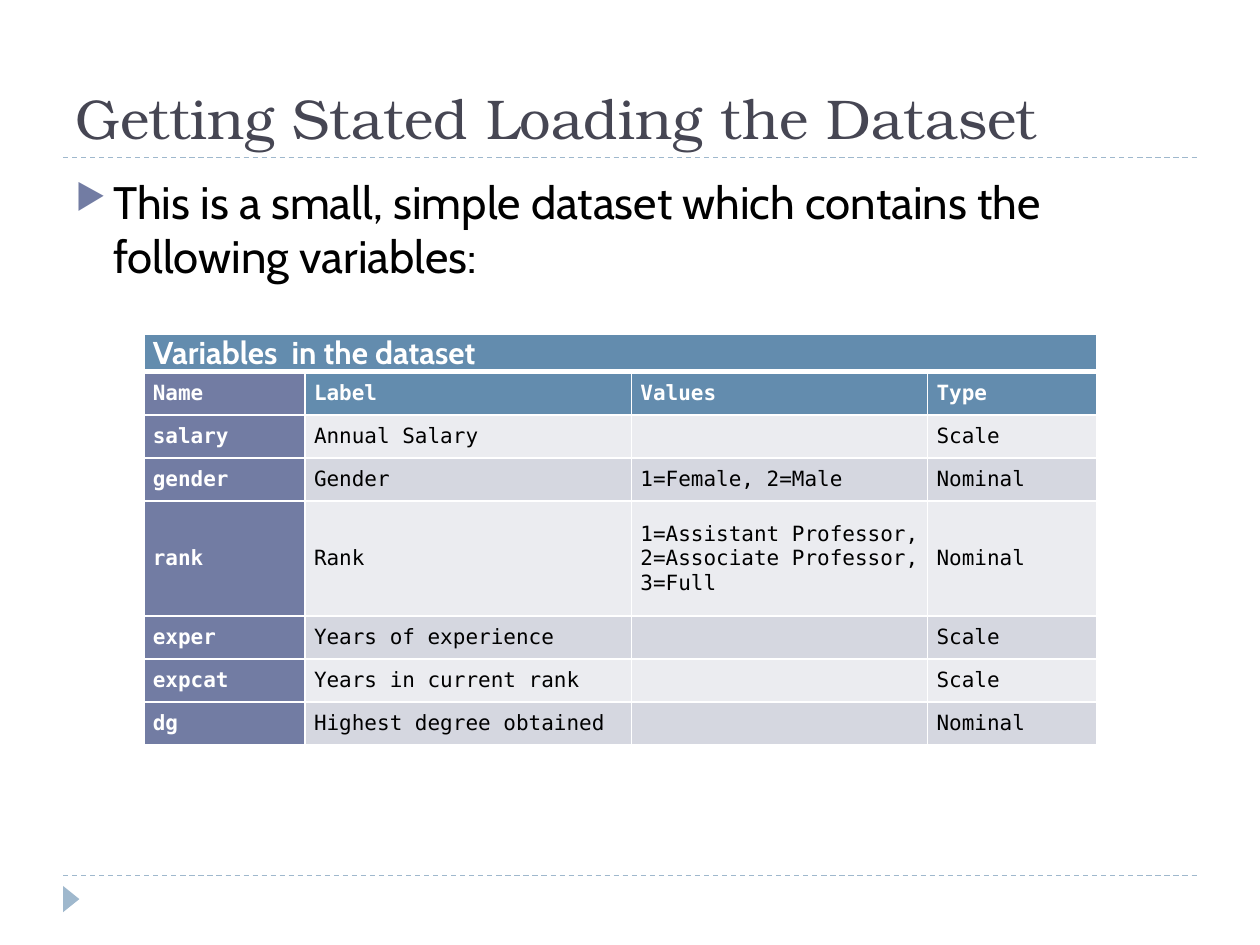
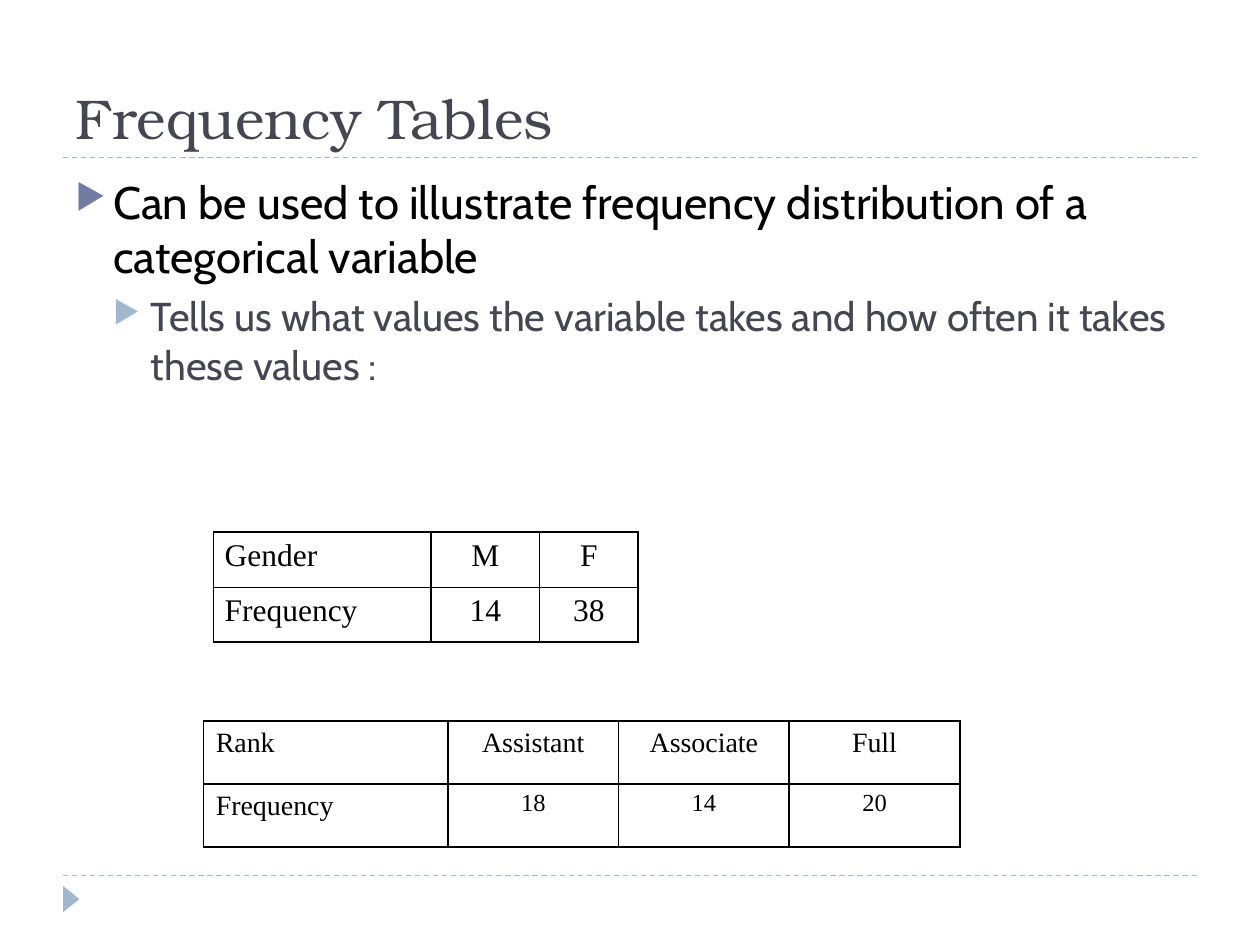
"""Build two slides on a salary dataset and its frequency tables."""
from lxml.etree import SubElement as Sub
from pptx import Presentation
from pptx.dml.color import RGBColor as Rgb
from pptx.enum.dml import MSO_LINE as Dash
from pptx.enum.shapes import MSO_CONNECTOR as Link, MSO_SHAPE as Shape
from pptx.enum.text import MSO_ANCHOR as Anchor, MSO_AUTO_SIZE as Fit, PP_ALIGN as Align
from pptx.oxml.ns import qn
from pptx.oxml.xmlchemy import OxmlElement as Node
from pptx.util import Cm, Pt

WHITE = Rgb(0xFF, 0xFF, 0xFF)
BLACK = Rgb(0, 0, 0)
SLATE = Rgb(0x46, 0x46, 0x53)
VIOLET = Rgb(0x72, 0x7C, 0xA3)
STEEL = Rgb(0x63, 0x8C, 0xAE)
MIST = Rgb(0x9F, 0xB8, 0xCD)
BANDS = (Rgb(0xEB, 0xEC, 0xF0), Rgb(0xD5, 0xD7, 0xE0))
SERIF, SANS = "TeX Gyre Bonum", "Cabin"
MONO, TIMES = "DejaVu Sans Mono", "Times New Roman"
LEFT, WIDTH = Cm(1.27), Cm(22.86)
RULES = (Cm(3.18), Cm(17.65))
LEVELS = ((26, BLACK, VIOLET, 0), (23, SLATE, MIST, 5))

FIELDS = (
    ("Variables  in the dataset", "", "", ""),
    ("Name", "Label", "Values", "Type"),
    ("salary", "Annual Salary", "", "Scale"),
    ("gender", "Gender", "1=Female, 2=Male", "Nominal"),
    ("rank", "Rank", "1=Assistant Professor, 2=Associate Professor, 3=Full", "Nominal"),
    ("exper", "Years of experience", "", "Scale"),
    ("expcat", "Years in current rank", "", "Scale"),
    ("dg", "Highest degree obtained", "", "Nominal"),
)
GENDER = (("Gender", "M", "F"), ("Frequency", "14", "38"))
RANK = (("Rank", "Assistant", "Associate", "Full"), ("Frequency", "18", "14", "20"))


class Deck:
    """Hold the style and the current slide."""

    def __init__(self):
        self.prs = Presentation()
        self.prs.slide_width, self.prs.slide_height = Cm(25.4), Cm(19.05)
        self.slide = None

    def font(self, par, size, face, color, bold=False):
        for run in par.runs:
            font = run.font
            font.size, font.name, font.bold = Pt(size), face, bold
            font.color.rgb = color

    def page(self, title):
        self.slide = self.prs.slides.add_slide(self.prs.slide_layouts[5])
        for y in RULES:
            self.rule(y)
        self.mark()
        head = self.slide.shapes.title
        head.left, head.top, head.width, head.height = LEFT, Cm(0.43), WIDTH, Cm(2.74)
        frame = head.text_frame
        frame.text = title
        frame.vertical_anchor = Anchor.BOTTOM
        frame.auto_size = Fit.NONE
        par = frame.paragraphs[0]
        par.alignment = Align.LEFT
        self.font(par, 32, SERIF, SLATE)

    def rule(self, y):
        line = self.slide.shapes.add_connector(Link.STRAIGHT, LEFT, y, LEFT + WIDTH, y)
        line.line.color.rgb = MIST
        line.line.width = Pt(0.75)
        line.line.dash_style = Dash.DASH
        Sub(line._element.spPr, qn("a:effectLst"))

    def mark(self):
        tip = self.slide.shapes.add_shape(
            Shape.ISOSCELES_TRIANGLE, Cm(1.17), Cm(17.96), Cm(0.53), Cm(0.33))
        tip.rotation = 90
        tip.shadow.inherit = False
        tip.fill.solid()
        tip.fill.fore_color.rgb = MIST
        tip.line.fill.background()

    def body(self, *lines):
        box = self.slide.shapes.add_textbox(LEFT, Cm(3.38), WIDTH, Cm(13.72))
        frame = box.text_frame
        frame.word_wrap = True
        frame.text = "\n".join(lines)
        for level, par in enumerate(frame.paragraphs):
            size, color, dot, gap = LEVELS[level]
            self.bullet(par, level, dot)
            par.space_before = Pt(gap)
            self.font(par, size, SANS, color)

    def bullet(self, par, level, color):
        par.level = level
        props = par._p.get_or_add_pPr()
        props.set("marL", str(Cm(0.76) * (level + 1)))
        props.set("indent", str(-Cm(0.76)))
        Sub(Sub(props, qn("a:buClr")), qn("a:srgbClr")).set("val", str(color))
        Sub(props, qn("a:buSzPct")).set("val", "76000")
        Sub(props, qn("a:buChar")).set("char", "▶")

    def border(self, cell, color, top=1, bottom=1):
        props = cell._tc.get_or_add_tcPr()
        for i, (side, width) in enumerate(zip("LRTB", (1, 1, top, bottom))):
            line = Node(f"a:ln{side}")
            line.set("w", str(Pt(width)))
            Sub(Sub(line, qn("a:solidFill")), qn("a:srgbClr")).set("val", str(color))
            props.insert(i, line)

    def grid(self, rows, left, top, widths, heights):
        table = self.slide.shapes.add_table(
            len(rows), len(widths), Cm(left), Cm(top),
            Cm(sum(widths)), Cm(sum(heights))).table
        table.first_row = table.horz_banding = False
        for col, width in zip(table.columns, widths):
            col.width = Cm(width)
        for row, height in zip(table.rows, heights):
            row.height = Cm(height)
        for r, row in enumerate(rows):
            for c, text in enumerate(row):
                table.cell(r, c).text = text
        return table

    def fields(self, rows, *place):
        table = self.grid(rows, *place)
        table.cell(0, 0).merge(table.cell(0, len(rows[0]) - 1))
        for r, row in enumerate(rows):
            for c in range(len(row)):
                cell = table.cell(r, c)
                head = r < 2 or c == 0
                cell.fill.solid()
                cell.fill.fore_color.rgb = (
                    VIOLET if r and c == 0 else STEEL if head else BANDS[r % 2])
                self.border(cell, WHITE, 3 if r == 1 else 1, 1 if r else 3)
                cell.vertical_anchor = Anchor.MIDDLE
                cell.margin_left = cell.margin_right = Cm(0.18)
                cell.margin_top = cell.margin_bottom = 0
                self.font(cell.text_frame.paragraphs[0], 12 if r else 18,
                          MONO if r else SANS, WHITE if head else BLACK, head)

    def counts(self, rows, size, small, side, *place):
        table = self.grid(rows, *place)
        for r, row in enumerate(rows):
            for c in range(len(row)):
                cell = table.cell(r, c)
                cell.fill.background()
                self.border(cell, BLACK)
                cell.margin_left = cell.margin_right = Cm(side)
                par = cell.text_frame.paragraphs[0]
                par.alignment = Align.CENTER if c else Align.LEFT
                self.font(par, small if r and c else size, TIMES, BLACK)


def main():
    deck = Deck()
    deck.page("Getting Stated Loading the Dataset")
    deck.body("This is a small, simple dataset which contains the following variables:")
    deck.fields(FIELDS, 2.9, 6.73, (3.25, 6.58, 5.97, 3.4),
                [0.53] + [0.87] * 3 + [2.31] + [0.87] * 3)

    deck.page("Frequency Tables")
    deck.body("Can be used to illustrate frequency distribution of a categorical variable",
              "Tells us what values the variable takes and how often it takes these values :")
    deck.counts(GENDER, 18, 18, 0.23, 4.3, 10.72, (4.39, 2.19, 1.98), (1.12, 1.1))
    deck.counts(RANK, 16, 14, 0.25, 4.1, 14.53, [4.93] + [3.44] * 3, [1.27] * 2)
    deck.prs.save("out.pptx")


if __name__ == "__main__":
    main()
